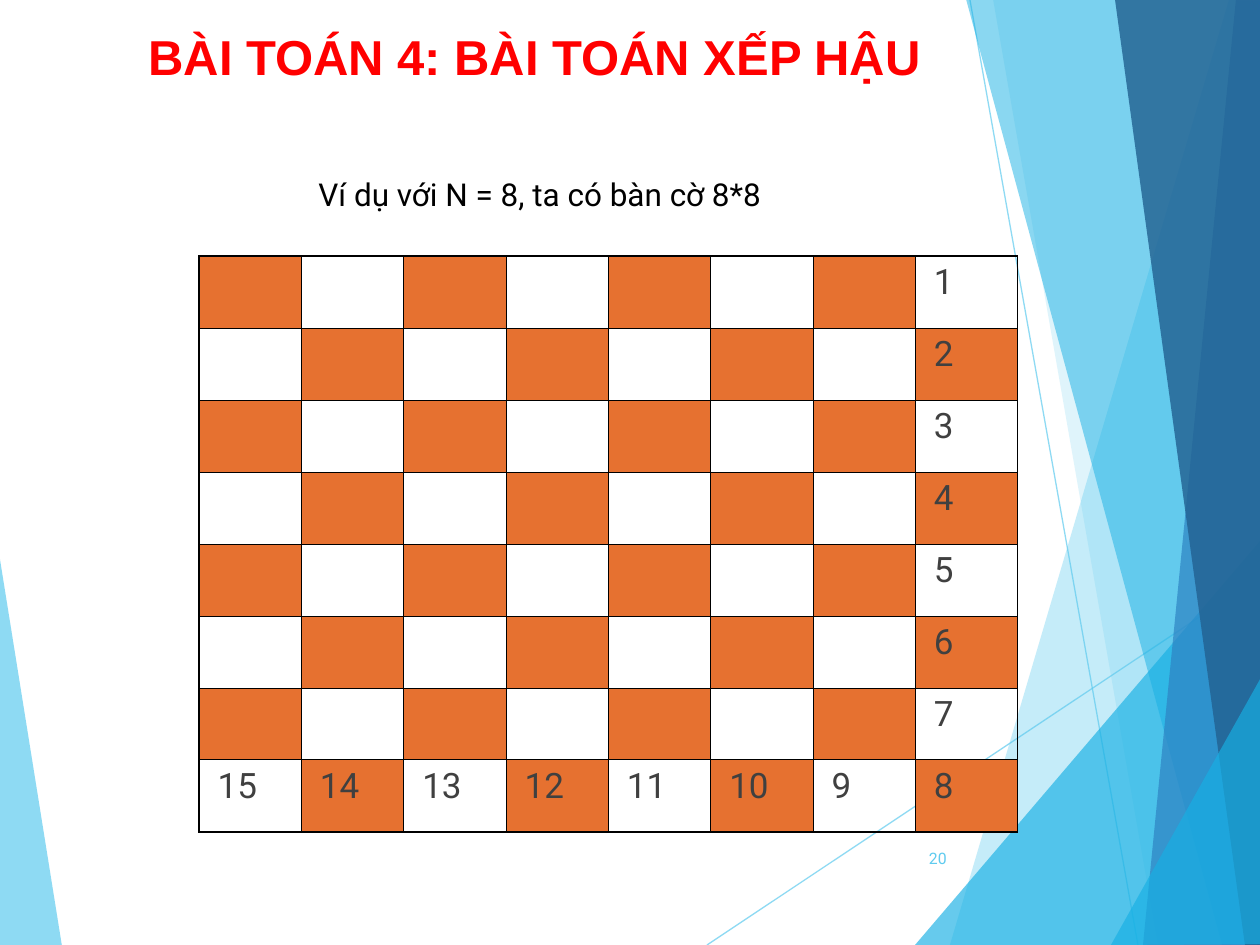
from lxml import etree
from pptx import Presentation
from pptx.dml.color import RGBColor
from pptx.enum.shapes import MSO_CONNECTOR
from pptx.enum.text import MSO_ANCHOR, MSO_AUTO_SIZE, PP_ALIGN
from pptx.oxml.ns import qn
from pptx.util import Pt

PX = 7257.6  # EMU per px, 126 px to the inch
STRAIGHT = MSO_CONNECTOR.STRAIGHT
LEFT, RIGHT = PP_ALIGN.LEFT, PP_ALIGN.RIGHT
TOP, MIDDLE = MSO_ANCHOR.TOP, MSO_ANCHOR.MIDDLE

COLORS = {
    "sky": "5FCBEF", "cyan": "17B0E4", "blue": "2E83C3", "navy": "236292",
    "red": "FF0000", "black": "000000", "number": "404040", "square": "E67130",
}

# color, opacity in percent, corners
LEFT_FACET = ("sky", 70, [(-1, 553), (62, 946), (-1, 945)])
RAYS = [((707, 945), (1261, 576)), ((970, 0), (1138, 945))]
RAY_OPACITY = 70
RIGHT_FACETS = [
    ("sky", 36, [(1229, 0), (950, 945), (1263, 946), (1261, 1)]),
    ("sky", 20, [(993, -1), (1158, 945), (1261, 945), (1261, -1)]),
    ("cyan", 66, [(915, 945), (1260, 541), (1261, 945)]),
    ("cyan", 50, [(966, -1), (1222, 945), (1261, 944), (1261, -1)]),
    ("blue", 70, [(1236, -1), (1143, 945), (1261, 945), (1260, -1)]),
    ("navy", 82, [(1115, -1), (1245, 945), (1263, 945), (1260, -1)]),
    ("cyan", 66, [(1111, 945), (1263, 674), (1263, 944)]),
]

# text, box, size, font, color, bold, alignment, anchor, wrap
TITLE = ("BÀI TOÁN 4: BÀI TOÁN XẾP HẬU", (136, 20, 955, 102),
         28, "Arial", "red", True, LEFT, TOP, True)
PAGE_NUMBER = ("20", (888, 833, 71, 50),
               9, "Roboto", "sky", False, RIGHT, MIDDLE, True)
EXAMPLE = ("Ví dụ với N = 8, ta có bàn cờ 8*8", (306, 169, 493, 50),
           18, "Roboto", "black", False, LEFT, TOP, False)

N = 8
BOARD = (199, 256, 819, 576)
THIN, THICK = 0.45, 1.08


def emu(px):
    return round(px * PX)


def rgb(name):
    return RGBColor.from_string(COLORS[name])


def set_opacity(props, percent):
    color = next(props.iter(qn("a:srgbClr")))
    etree.SubElement(color, qn("a:alpha"), val=str(percent * 1000))


def add_facet(slide, color, opacity, corners):
    builder = slide.shapes.build_freeform(*corners[0], scale=PX)
    builder.add_line_segments(corners[1:], close=True)
    facet = builder.convert_to_shape()
    facet.shadow.inherit = False
    facet.fill.solid()
    facet.fill.fore_color.rgb = rgb(color)
    facet.line.fill.background()
    set_opacity(facet.fill._xPr, opacity)


def add_ray(slide, start, end):
    ray = slide.shapes.add_connector(STRAIGHT, *map(emu, start + end))
    ray.line.color.rgb = rgb("sky")
    ray.line.width = Pt(0.75)
    props = ray._element.spPr
    set_opacity(props, RAY_OPACITY)
    etree.SubElement(props, qn("a:effectLst"))


def add_run(paragraph, text, size, font, color, bold=False):
    run = paragraph.add_run()
    run.text = text
    run.font.size = Pt(size)
    run.font.name = font
    run.font.bold = bold
    run.font.color.rgb = rgb(color)


def add_text(slide, text, box, size, font, color, bold, align, anchor, wrap):
    frame = slide.shapes.add_textbox(*map(emu, box)).text_frame
    frame.word_wrap = wrap
    frame.vertical_anchor = anchor
    if not wrap:
        frame.auto_size = MSO_AUTO_SIZE.SHAPE_TO_FIT_TEXT
    frame.paragraphs[0].alignment = align
    add_run(frame.paragraphs[0], text, size, font, color, bold)


def set_borders(cell, widths):
    """Put borders before the fill, as the schema orders them."""
    props = cell._tc.get_or_add_tcPr()
    for place, (side, width) in enumerate(widths.items()):
        border = etree.Element(qn(f"a:ln{side}"), w=str(Pt(width)))
        fill = etree.SubElement(border, qn("a:solidFill"))
        etree.SubElement(fill, qn("a:srgbClr"), val=COLORS["black"])
        props.insert(place, border)


def square_number(row, col):
    """Count down the last column, then back along the last row."""
    if col == N - 1:
        return row + 1
    if row == N - 1:
        return 2 * N - 1 - col
    return None


def add_board(slide):
    table = slide.shapes.add_table(N, N, *map(emu, BOARD)).table
    table.first_row = table.horz_banding = False
    for row in range(N):
        for col in range(N):
            cell = table.cell(row, col)
            if (row + col) % 2 == 0:
                cell.fill.solid()
                cell.fill.fore_color.rgb = rgb("square")
            else:
                cell.fill.background()
            set_borders(cell, {
                "L": THICK if col == 0 else THIN,
                "R": THICK if col == N - 1 else THIN,
                "T": THICK if row == 0 else THIN,
                "B": THICK if row == N - 1 else THIN,
            })
            number = square_number(row, col)
            if number:
                paragraph = cell.text_frame.paragraphs[0]
                paragraph.space_before, paragraph.space_after = Pt(5), Pt(3)
                props = paragraph._p.get_or_add_pPr()
                props.set("marL", str(emu(6)))
                props.set("indent", "0")
                add_run(paragraph, str(number), 20, "Roboto", "number")


def main():
    deck = Presentation()
    deck.slide_width, deck.slide_height = emu(1260), emu(945)
    slide = deck.slides.add_slide(deck.slide_layouts[6])
    add_facet(slide, *LEFT_FACET)
    for ray in RAYS:
        add_ray(slide, *ray)
    for facet in RIGHT_FACETS:
        add_facet(slide, *facet)
    add_text(slide, *TITLE)
    add_text(slide, *PAGE_NUMBER)
    add_board(slide)
    add_text(slide, *EXAMPLE)
    deck.save("out.pptx")


if __name__ == "__main__":
    main()
